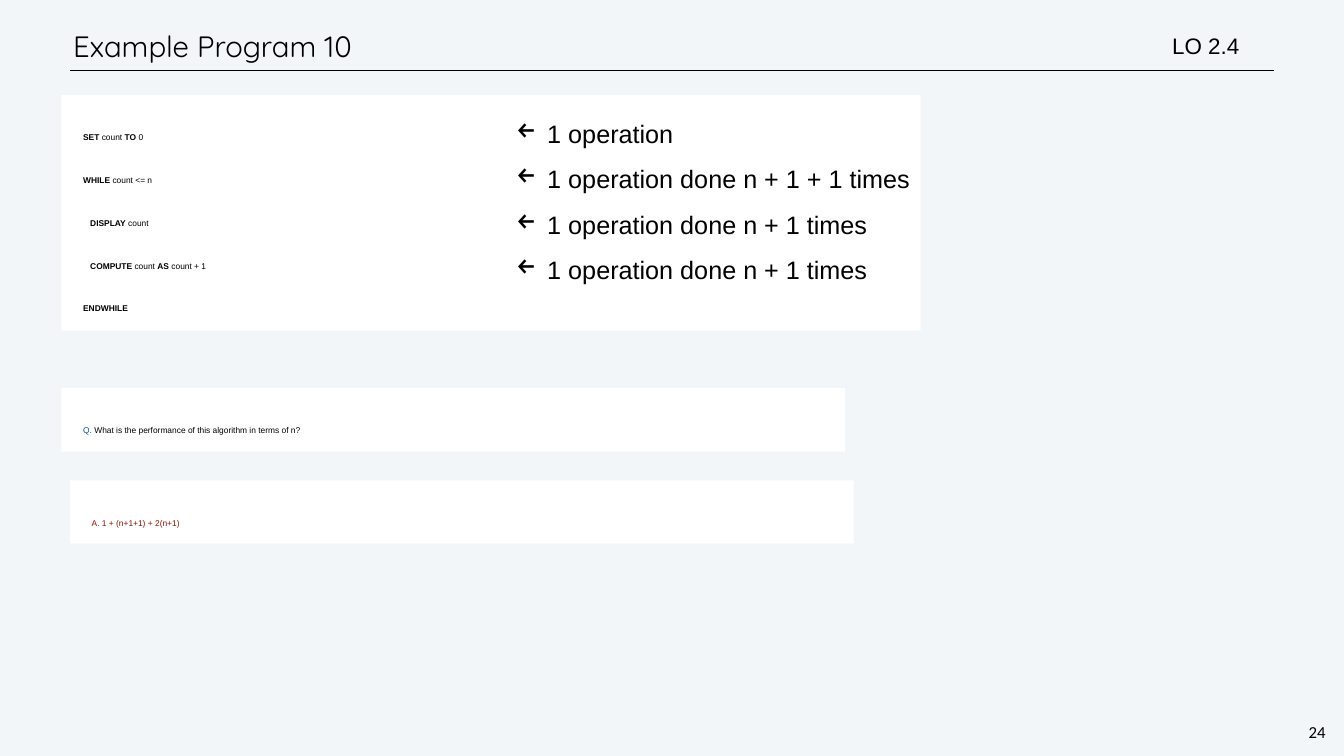
from dataclasses import dataclass

from lxml import etree
from pptx import Presentation
from pptx.dml.color import RGBColor
from pptx.enum.shapes import MSO_CONNECTOR, MSO_SHAPE
from pptx.enum.text import MSO_ANCHOR, PP_ALIGN
from pptx.oxml.ns import qn
from pptx.util import Inches, Pt

RECTANGLE = MSO_SHAPE.RECTANGLE
STRAIGHT = MSO_CONNECTOR.STRAIGHT
TOP, MIDDLE = MSO_ANCHOR.TOP, MSO_ANCHOR.MIDDLE
LEFT, CENTER = PP_ALIGN.LEFT, PP_ALIGN.CENTER

BLACK, WHITE, BACKGROUND = "000000", "FFFFFF", "F3F6F9"
BLUE, RED = "005493", "941100"


@dataclass
class Run:
    text: str
    bold: bool = False
    color: str = BLACK


@dataclass
class Line:
    runs: list[Run]
    nested: bool = False


@dataclass
class Panel:
    left: float
    top: float
    width: float
    height: float
    lines: list[Line]


@dataclass
class Label:
    left: float
    top: float
    width: float
    height: float
    lines: list[str]
    size: float
    font: str = "Arial"
    inset: float = 0.06
    anchor: MSO_ANCHOR = MIDDLE
    alignment: PP_ALIGN = LEFT
    wrap: bool = True
    spacing: float | Pt | None = None
    before: float = 0
    bullet: str = ""


def rgb(color: str) -> RGBColor:
    return RGBColor.from_string(color)


def set_frame(text_frame, inset: float, anchor: MSO_ANCHOR, wrap: bool = True) -> None:
    text_frame.word_wrap = wrap
    text_frame.vertical_anchor = anchor
    text_frame.margin_left = text_frame.margin_right = Inches(inset)
    text_frame.margin_top = text_frame.margin_bottom = Inches(inset)


def set_font(font, name: str, size: float, color: str, bold: bool = False) -> None:
    font.name, font.size, font.bold = name, Pt(size), bold
    font.color.rgb = rgb(color)


def set_indent(paragraph, margin: float, indent: float):
    properties = paragraph._p.get_or_add_pPr()
    properties.set("marL", str(Inches(margin)))
    properties.set("indent", str(Inches(indent)))
    return properties


def add_panel(slide, panel: Panel) -> None:
    shape = slide.shapes.add_shape(
        RECTANGLE, Inches(panel.left), Inches(panel.top), Inches(panel.width), Inches(panel.height))
    shape.shadow.inherit = False
    shape.fill.solid()
    shape.fill.fore_color.rgb = rgb(WHITE)
    shape.line.fill.background()
    text_frame = shape.text_frame
    set_frame(text_frame, 0.33, TOP)
    for index, line in enumerate(panel.lines):
        paragraph = text_frame.add_paragraph() if index else text_frame.paragraphs[0]
        paragraph.alignment = LEFT
        paragraph.line_spacing = Pt(44)
        paragraph.space_before = Pt(17)
        set_indent(paragraph, 0, 0.24 if line.nested else 0.1)
        for part in line.runs:
            run = paragraph.add_run()
            run.text = part.text
            set_font(run.font, "Arial", 12, part.color, part.bold)


def add_label(slide, label: Label) -> None:
    shape = slide.shapes.add_textbox(
        Inches(label.left), Inches(label.top), Inches(label.width), Inches(label.height))
    text_frame = shape.text_frame
    set_frame(text_frame, label.inset, label.anchor, label.wrap)
    text_frame.text = "\n".join(label.lines)
    for paragraph in text_frame.paragraphs:
        paragraph.alignment = label.alignment
        paragraph.line_spacing = label.spacing
        paragraph.space_before = Pt(label.before)
        set_font(paragraph.runs[0].font, label.font, label.size, BLACK)
        if label.bullet:
            properties = set_indent(paragraph, 0.62, -0.62)
            etree.SubElement(properties, qn("a:buChar")).set("char", label.bullet)


def add_rule(slide, left: float, right: float, y: float) -> None:
    rule = slide.shapes.add_connector(STRAIGHT, Inches(left), Inches(y), Inches(right), Inches(y))
    rule.line.color.rgb = rgb(BLACK)
    rule.line.width = Pt(1)
    etree.SubElement(rule._element.spPr, qn("a:effectLst"))


PROGRAM = [
    Line([Run("SET ", True), Run("count "), Run("TO", True), Run(" 0")]),
    Line([Run("WHILE ", True), Run("count <= n")]),
    Line([Run("DISPLAY", True), Run(" count")], nested=True),
    Line([Run("COMPUTE", True), Run(" count "), Run("AS", True), Run(" count + 1")], nested=True),
    Line([Run("ENDWHILE", True)]),
]
QUESTION = [Line([Run("Q. ", color=BLUE),
                  Run("What is the performance of this algorithm in terms of n?")])]
ANSWER = [Line([Run("A. 1 + (n+1+1) + 2(n+1)", color=RED)])]
OPERATIONS = [
    "1 operation",
    "1 operation done n + 1 + 1 times",
    "1 operation done n + 1 times",
    "1 operation done n + 1 times",
]

PANELS = [
    Panel(1.22, 1.89, 17.05, 4.67, PROGRAM),
    Panel(1.22, 7.7, 15.55, 1.26, QUESTION),
    Panel(1.39, 9.53, 15.55, 1.25, ANSWER),
]
LABELS = [
    Label(1.39, 0.42, 22.62, 0.99, ["Example Program 10"], 42, "Quicksand",
          spacing=Pt(50), before=3),
    Label(25.92, 14.29, 0.43, 0.47, ["24"], 24, "Calibri", inset=0.04, anchor=TOP,
          alignment=CENTER, wrap=False, spacing=Pt(28)),
    Label(23.2, 0.58, 2.99, 0.65, ["LO 2.4"], 32),
    Label(10.18, 1.97, 9.9, 3.75, OPERATIONS, 36, spacing=1.5, bullet="←"),
]


def main() -> None:
    presentation = Presentation()
    presentation.slide_width = Inches(26.67)
    presentation.slide_height = Inches(15)
    slide = presentation.slides.add_slide(presentation.slide_layouts[6])
    slide.background.fill.solid()
    slide.background.fill.fore_color.rgb = rgb(BACKGROUND)

    # Header rule
    add_rule(slide, 1.39, 25.28, 1.4)

    # Program, question and answer
    for panel in PANELS:
        add_panel(slide, panel)

    # Title, page number, objective and operation counts
    for label in LABELS:
        add_label(slide, label)

    presentation.save("out.pptx")


if __name__ == "__main__":
    main()
